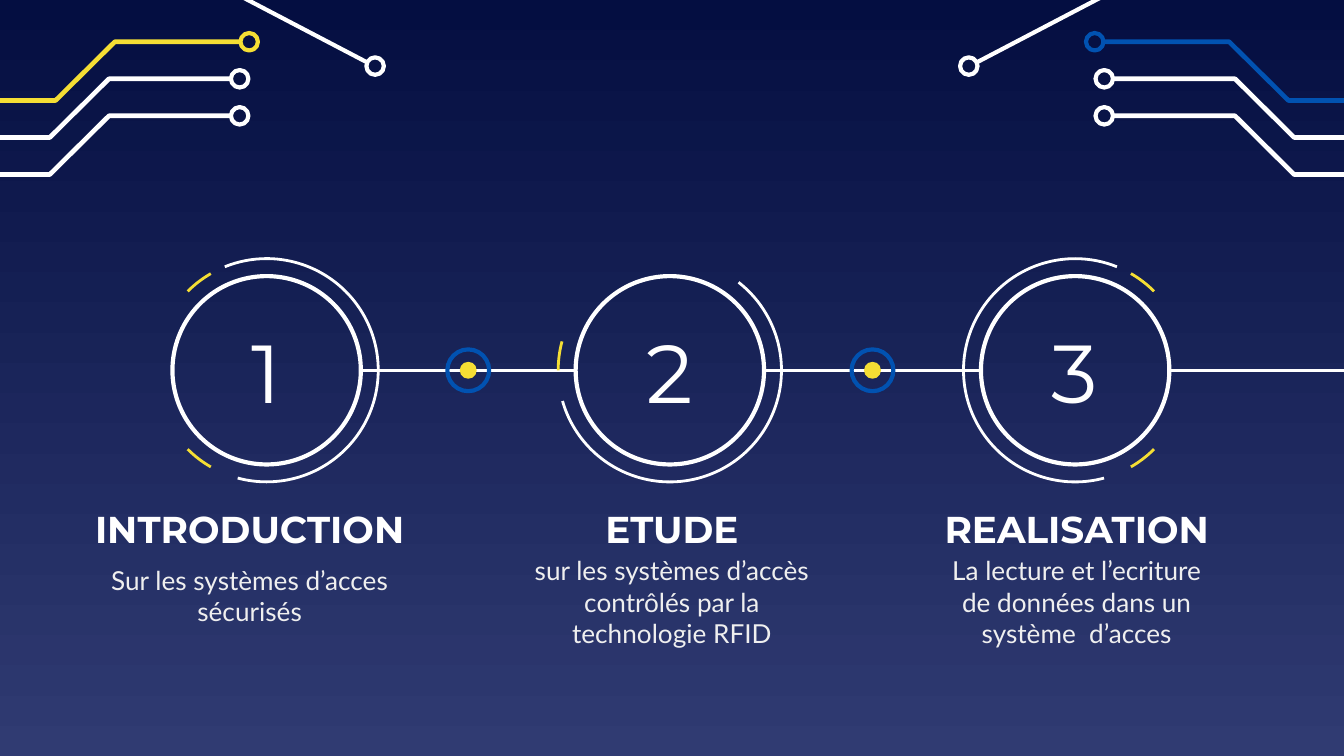
import dataclasses

import lxml.etree
import pptx
import pptx.dml.color
import pptx.enum.shapes
import pptx.enum.text
import pptx.oxml.ns
import pptx.util

Cm = pptx.util.Cm
Pt = pptx.util.Pt
Shapes = pptx.enum.shapes.MSO_SHAPE

SLIDE_WIDTH, SLIDE_HEIGHT = 25.4, 14.29
AXIS_Y = 7.0
CIRCLE_DIAMETER, HALO_DIAMETER = 3.56, 4.22
PAD_DIAMETER, TRACE_STEP = 0.33, 0.7


@dataclasses.dataclass(frozen=True)
class Theme:
    top: str = "040E41"
    bottom: str = "303B72"
    white: str = "FFFFFF"
    body: str = "EFEFEF"
    yellow: str = "F5DE34"
    blue: str = "0152B1"
    heading_font: str = "Montserrat"
    body_font: str = "Lato"
    number_size: float = 44
    title_size: float = 20
    body_size: float = 14
    thin: float = 1.5
    thick: float = 2.25
    trace: float = 2.5


@dataclasses.dataclass(frozen=True)
class Step:
    """One numbered step; arcs are (start, end) degrees clockwise from the right."""
    number: str
    title: str
    body: str
    circle_x: float
    text_x: float
    title_width: float
    body_width: float
    body_top: float
    white_arc: tuple
    yellow_arcs: tuple


STEPS = (
    Step("1", "INTRODUCTION", "Sur les systèmes d’acces sécurisés",
         5.04, 4.72, 6.45, 5.79, 10.52, (248, 105), ((120, 135), (225, 240))),
    Step("2", "ETUDE", "sur les systèmes d’accès contrôlés par la technologie RFID",
         12.66, 12.7, 5.79, 6.48, 10.64, (308, 164), ((180, 195),)),
    Step("3", "REALISATION", "La lecture et l’ecriture de données dans un système  d’acces",
         20.32, 20.35, 5.79, 5.79, 10.64, (75, 292), ((45, 60), (300, 315))),
)


def rgb(color):
    return pptx.dml.color.RGBColor.from_string(color)


class SlideBuilder:
    def __init__(self, slide, theme):
        self.slide = slide
        self.theme = theme

    def background(self):
        fill = self.slide.background.fill
        fill.gradient()
        fill.gradient_angle = 270
        for stop, color in zip(fill.gradient_stops, (self.theme.top, self.theme.bottom)):
            stop.color.rgb = rgb(color)
        fill.gradient_stops[0].position = 0
        fill.gradient_stops[1].position = 1

    def style(self, shape, line=None, width=None, fill=None):
        shape.shadow.inherit = False
        if fill:
            shape.fill.solid()
            shape.fill.fore_color.rgb = rgb(fill)
        else:
            shape.fill.background()
        if line:
            shape.line.color.rgb = rgb(line)
            shape.line.width = Pt(width)
        else:
            shape.line.fill.background()

    def round_shape(self, kind, x, y, diameter, **style):
        """Place a circular preset by its centre."""
        shape = self.slide.shapes.add_shape(
            kind, Cm(x - diameter / 2), Cm(y - diameter / 2), Cm(diameter), Cm(diameter))
        self.style(shape, **style)
        return shape

    def circle(self, x, y, diameter, **style):
        return self.round_shape(Shapes.OVAL, x, y, diameter, **style)

    def arc(self, x, y, diameter, angles, color):
        shape = self.round_shape(Shapes.ARC, x, y, diameter, line=color, width=self.theme.thin)
        for index, degrees in enumerate(angles):
            shape.adjustments[index] = degrees * 0.6  # 60000 units per degree, over 100000

    def polyline(self, points, color, width):
        first, *rest = [(Cm(x), Cm(y)) for x, y in points]
        builder = self.slide.shapes.build_freeform(*first)
        builder.add_line_segments(rest, close=False)
        self.style(builder.convert_to_shape(), line=color, width=width)

    def line(self, start_x, end_x, y):
        connector = self.slide.shapes.add_connector(
            pptx.enum.shapes.MSO_CONNECTOR.STRAIGHT, Cm(start_x), Cm(y), Cm(end_x), Cm(y))
        connector.line.color.rgb = rgb(self.theme.white)
        connector.line.width = Pt(self.theme.thin)
        lxml.etree.SubElement(connector._element.spPr, pptx.oxml.ns.qn("a:effectLst"))

    def fill_text(self, shape, text, size, font, color, bold=False):
        frame = shape.text_frame
        frame.word_wrap = True
        frame.vertical_anchor = pptx.enum.text.MSO_ANCHOR.MIDDLE
        frame.margin_left = frame.margin_right = Cm(0.25)
        frame.margin_top = frame.margin_bottom = Cm(0.25)
        paragraph = frame.paragraphs[0]
        paragraph.alignment = pptx.enum.text.PP_ALIGN.CENTER
        run = paragraph.add_run()
        run.text = text
        run.font.size = Pt(size)
        run.font.name = font
        run.font.bold = bold
        run.font.color.rgb = rgb(color)

    def text(self, center_x, top, width, height, text, size, font, color, bold=False):
        box = self.slide.shapes.add_textbox(
            Cm(center_x - width / 2), Cm(top), Cm(width), Cm(height))
        self.fill_text(box, text, size, font, color, bold)

    def circuit(self, accent, mirrored=False):
        """Draw the traces of one top corner, each ending in a round pad."""
        theme = self.theme

        def place(x):
            return SLIDE_WIDTH - x if mirrored else x

        def trace(points, pad_x, pad_y, color, width):
            self.polyline([(place(x), y) for x, y in points], color, width)
            self.circle(place(pad_x), pad_y, PAD_DIAMETER, line=color, width=theme.thick)

        rows = ((accent, 0.11, 4.71), (theme.white, 0, 4.53), (theme.white, 0, 4.53))
        for index, (color, shift, pad_x) in enumerate(rows):
            high = 0.79 + index * TRACE_STEP
            low = high + 1.11
            points = [(shift - 0.91, low), (shift + 0.94, low),
                      (shift + 2.06, high), (pad_x - PAD_DIAMETER / 2, high)]
            trace(points, pad_x, high, color, theme.trace)
        trace([(0.05, -1.45), (0.3, -0.46), (2.64, -1.07), (6.96, 1.19)],
              7.09, 1.25, theme.white, theme.thick)

    def link(self, start_x, end_x):
        """Join two steps with a line carrying a ringed dot."""
        self.line(start_x, end_x, AXIS_Y)
        middle = (start_x + end_x) / 2
        self.circle(middle, AXIS_Y, 0.79, line=self.theme.blue, width=self.theme.thick)
        self.circle(middle, AXIS_Y, 0.32, fill=self.theme.yellow)

    def step(self, step):
        theme = self.theme
        circle = self.circle(step.circle_x, AXIS_Y, CIRCLE_DIAMETER,
                             line=theme.white, width=theme.thick)
        self.fill_text(circle, step.number, theme.number_size, theme.heading_font, theme.white)
        self.arc(step.circle_x, AXIS_Y, HALO_DIAMETER, step.white_arc, theme.white)
        for angles in step.yellow_arcs:
            self.arc(step.circle_x, AXIS_Y, HALO_DIAMETER, angles, theme.yellow)
        self.text(step.text_x, 9.4, step.title_width, 1.19, step.title,
                  theme.title_size, theme.heading_font, theme.white, bold=True)
        self.text(step.text_x, step.body_top, step.body_width, 1.47, step.body,
                  theme.body_size, theme.body_font, theme.body)


def main():
    presentation = pptx.Presentation()
    presentation.slide_width = Cm(SLIDE_WIDTH)
    presentation.slide_height = Cm(SLIDE_HEIGHT)
    theme = Theme()
    builder = SlideBuilder(presentation.slides.add_slide(presentation.slide_layouts[6]), theme)

    builder.background()
    builder.circuit(theme.yellow)
    builder.circuit(theme.blue, mirrored=True)
    radius = CIRCLE_DIAMETER / 2
    for left, right in zip(STEPS, STEPS[1:]):
        builder.link(left.circle_x + radius, right.circle_x - radius)
    for step in STEPS:
        builder.step(step)
    builder.line(STEPS[-1].circle_x + radius, 26.8, AXIS_Y)
    presentation.save("out.pptx")


if __name__ == "__main__":
    main()
